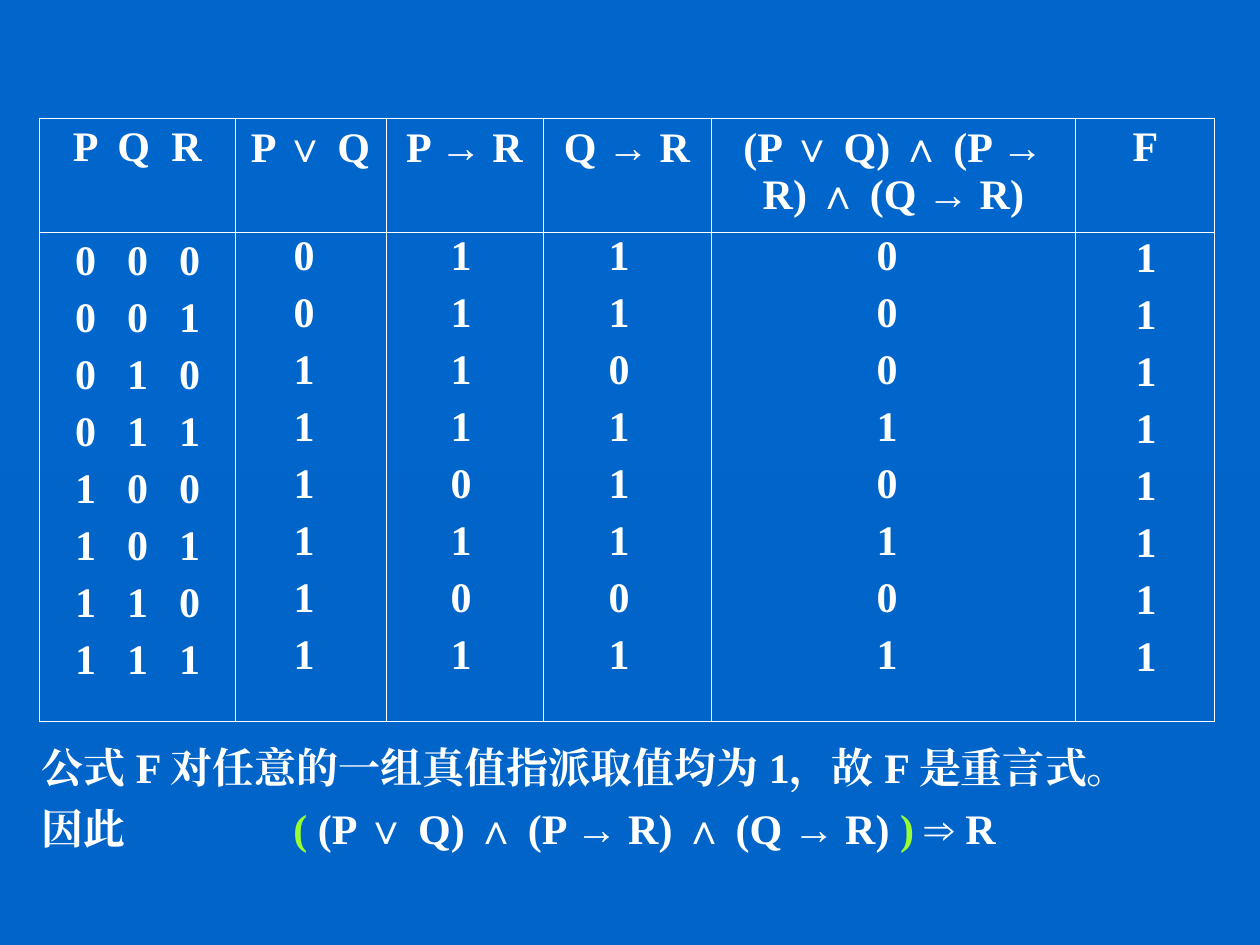
from dataclasses import dataclass
from itertools import groupby, product

from lxml import etree
from pptx import Presentation
from pptx.dml.color import RGBColor
from pptx.enum.text import MSO_AUTO_SIZE, PP_ALIGN
from pptx.oxml.ns import qn
from pptx.util import Pt

CENTER, LEFT = PP_ALIGN.CENTER, PP_ALIGN.LEFT
GROW = MSO_AUTO_SIZE.SHAPE_TO_FIT_TEXT
PX = 914400 // 126
PLAIN = "{2D5ABB26-0587-4C30-8999-92F81FD0307C}"  # table style with no grid
SIGNS = "∨∧→⇒"


@dataclass(frozen=True)
class Theme:
    top: str = "0066CC"
    base: str = "0064C9"
    ink: str = "FFFFFF"
    mark: str = "99FF33"
    body: str = "Times New Roman"
    sign: str = "Arial"
    size: int = 24
    gap: int = 6
    rule: float = 0.45


THEME = Theme()


def add_runs(para, text, color=THEME.ink):
    """Add text in runs, with logic signs in their own font."""
    for is_sign, chars in groupby(text, lambda c: c in SIGNS):
        run = para.add_run()
        run.text = "".join(chars)
        font = run.font
        font.size, font.bold = Pt(THEME.size), True
        font.name = THEME.sign if is_sign else THEME.body
        font.color.rgb = RGBColor.from_string(color)
        east = etree.SubElement(run.font._element, qn("a:ea"))
        east.set("typeface", font.name)


def set_tabs(para, stops, kind):
    tabs = etree.SubElement(para._p.get_or_add_pPr(), qn("a:tabLst"))
    for stop in stops:
        etree.SubElement(tabs, qn("a:tab"), pos=str(stop * PX), algn=kind)


def add_lines(frame, lines, align=LEFT, stops=()):
    for i, line in enumerate(lines):
        para = frame.add_paragraph() if i else frame.paragraphs[0]
        para.alignment = align
        if i:
            para.space_before = Pt(THEME.gap)
        if stops:
            set_tabs(para, stops, "ctr")
        add_runs(para, line)


def add_grid(slide, left, top, cols, rows, ruled=False):
    """Add a clear table, with thin rules if asked."""
    frame = slide.shapes.add_table(
        len(rows), len(cols), left * PX, top * PX, sum(cols) * PX, sum(rows) * PX)
    table = frame.table
    table.first_row = table.horz_banding = False
    for style in frame._element.iter(qn("a:tableStyleId")):
        style.text = PLAIN
    for col, width in zip(table.columns, cols):
        col.width = width * PX
    for row, height in zip(table.rows, rows):
        row.height = height * PX
    for cell in table.iter_cells():
        cell.fill.background()
    if ruled:
        for props in frame._element.iter(qn("a:tcPr")):
            for i, side in enumerate(("lnL", "lnR", "lnT", "lnB")):
                line = etree.Element(qn(f"a:{side}"), w=str(Pt(THEME.rule)))
                fill = etree.SubElement(line, qn("a:solidFill"))
                etree.SubElement(fill, qn("a:srgbClr"), val=THEME.ink)
                props.insert(i, line)
    return table


def add_truth(slide, left, top):
    """Truth table: ruled grid, with a column of values over each formula."""
    heads = ["P ∨ Q", "P → R", "Q → R", "(P ∨ Q) ∧ (P → R) ∧ (Q → R)", "F"]
    cols, rows = [196, 151, 157, 168, 365, 139], [114, 489]
    table = add_grid(slide, left, top, cols, rows, ruled=True)

    # Variables and their assignments
    add_lines(table.cell(0, 0).text_frame, ["\tP\tQ\tR"], stops=(34, 82, 135))
    cases = ["".join(f"\t{bit}" for bit in bits) for bits in product("01", repeat=3)]
    add_lines(table.cell(1, 0).text_frame, cases, stops=(34, 86, 138))

    # Formula headings
    for i, head in enumerate(heads, 1):
        add_lines(table.cell(0, i).text_frame, [head], CENTER)

    # Values: offset from the grid corner, then one digit per case
    values = [
        (242, 109, "00111111"),
        (399, 109, "11110101"),
        (557, 109, "11011101"),
        (825, 109, "00010101"),
        (1084, 111, "11111111"),
    ]
    for dx, dy, digits in values:
        column = add_grid(slide, left + dx, top + dy, [63], rows[1:])
        add_lines(column.cell(0, 0).text_frame, digits)


def add_proof(slide, left, top, width, height):
    """Conclusion drawn from the table."""
    box = slide.shapes.add_textbox(left * PX, top * PX, width * PX, height * PX)
    frame = box.text_frame
    frame.word_wrap, frame.auto_size = True, GROW
    add_lines(frame, ["公式 F 对任意的一组真值指派取值均为 1，故 F 是重言式。", "因此\t"])
    para = frame.paragraphs[1]
    set_tabs(para, [252], "l")
    add_runs(para, "( ", THEME.mark)
    add_runs(para, "(P ∨ Q) ∧ (P → R) ∧ (Q → R) ")
    add_runs(para, ") ", THEME.mark)
    add_runs(para, "⇒ R")


def set_back(slide):
    fill = slide.background.fill
    fill.gradient()
    fill.gradient_angle = 270
    for stop, color in zip(fill.gradient_stops, (THEME.top, THEME.base)):
        stop.color.rgb = RGBColor.from_string(color)


def main():
    deck = Presentation()
    deck.slide_width, deck.slide_height = 1260 * PX, 945 * PX
    slide = deck.slides.add_slide(deck.slide_layouts[6])
    set_back(slide)
    add_proof(slide, 29, 735, 1201, 125)
    add_truth(slide, 39, 118)
    deck.save("out.pptx")


if __name__ == "__main__":
    main()
